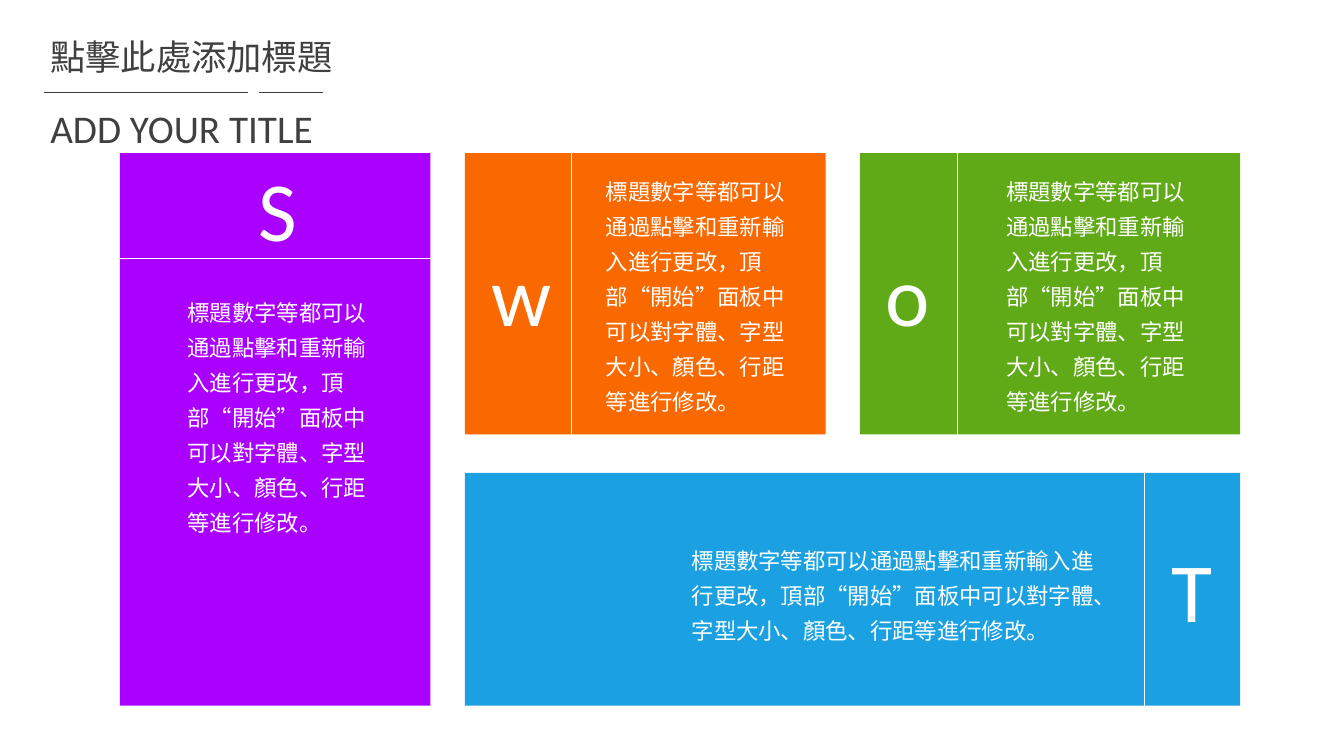
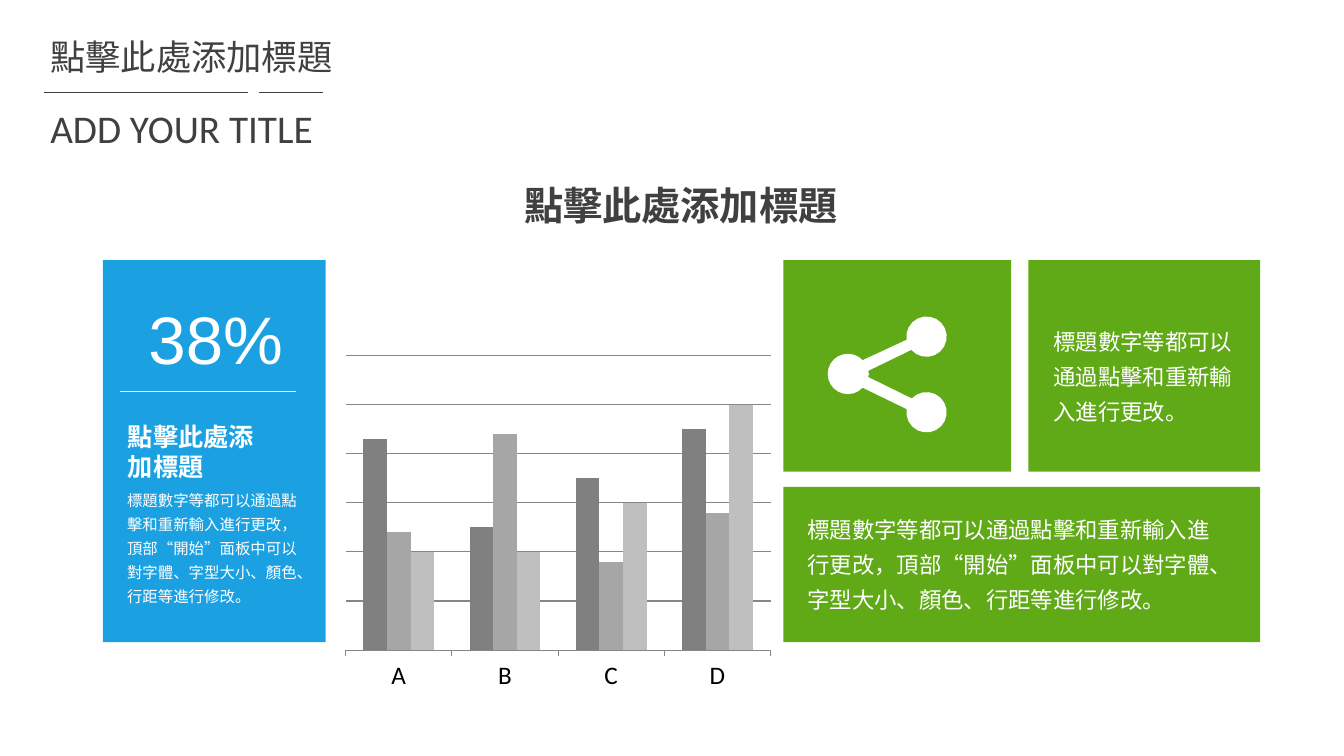
from math import cos, radians, sin

from pptx import Presentation
from pptx.chart.data import CategoryChartData
from pptx.dml.color import RGBColor
from pptx.enum.chart import XL_CHART_TYPE, XL_TICK_LABEL_POSITION, XL_TICK_MARK
from pptx.enum.shapes import MSO_CONNECTOR, MSO_SHAPE
from pptx.enum.text import PP_ALIGN
from pptx.oxml.ns import qn
from pptx.util import Emu, Pt
from lxml.etree import SubElement

SCALE = 9144
WHITE, DARK, GREY = "FFFFFF", "404040", "868686"
BLUE, GREEN, ORANGE, PURPLE = "1BA1E2", "60A917", "FA6800", "AA00FF"
CJK, LATIN = "Noto Sans CJK SC", "Calibri"
TITLE = "點擊此處添加標題"
BRIEF = "標題數字等都可以通過點擊和重新輸入進行更改"
BODY = BRIEF + "，頂部“開始”面板中可以對字體、字型大小、顏色、行距等進行修改。"


def px(*nums):
    return [Emu(round(n * SCALE)) for n in nums]


def color(code):
    return RGBColor.from_string(code)


def paint(shape, code):
    shape.shadow.inherit = False
    shape.fill.solid()
    shape.fill.fore_color.rgb = color(code)
    shape.line.fill.background()


def add_text(slide, box, text, size=16, font=CJK, code=WHITE, bold=False,
             align=PP_ALIGN.LEFT, lead=1.0, inset=(10, 5)):
    frame = slide.shapes.add_textbox(*px(*box)).text_frame
    frame.word_wrap = True
    side, edge = px(*inset)
    frame.margin_left = frame.margin_right = side
    frame.margin_top = frame.margin_bottom = edge
    para = frame.paragraphs[0]
    para.alignment, para.line_spacing = align, lead
    run = para.add_run()
    run.text = text
    run.font.size, run.font.bold, run.font.name = Pt(size), bold, font
    run.font.color.rgb = color(code)
    SubElement(run.font._element, qn("a:ea"), typeface=font)


def add_body(slide, box, text=BODY, size=16):
    add_text(slide, box, text, size=size, lead=1.3, inset=(7, 4))


def add_panel(slide, box, code):
    paint(slide.shapes.add_shape(MSO_SHAPE.RECTANGLE, *px(*box)), code)


def add_line(slide, ends, code=WHITE):
    line = slide.shapes.add_connector(MSO_CONNECTOR.STRAIGHT, *px(*ends))
    line.line.width = Pt(0.5)
    line.line.color.rgb = color(code)
    SubElement(line._element.spPr, qn("a:effectLst"))


def add_head(slide):
    for left, right in ((44, 246), (257, 320)):
        add_line(slide, (left, 92, right, 92), DARK)
    add_text(slide, (40, 35, 595, 52), TITLE, size=25.2, code=DARK, lead=0.9)
    add_text(slide, (40, 104, 298, 41), "ADD YOUR TITLE", size=28,
             font=LATIN, code=DARK, lead=0.9)


def arc(x, y, start, stop, steps=18, radius=20):
    turns = [radians(start + (stop - start) * i / steps)
             for i in range(steps + 1)]
    return [(x + radius * cos(t), y + radius * sin(t)) for t in turns]


def add_share(slide):
    dots = (arc(919, 334, 139, -189) + arc(841, 371, -43, -317)
            + arc(919, 409, 189, -137) + [(861, 374), (862, 371), (861, 368)])
    dots = [px(*dot) for dot in dots]
    pen = slide.shapes.build_freeform(*dots[0])
    pen.add_line_segments(dots[1:], close=True)
    paint(pen.convert_to_shape(), WHITE)


def add_bars(slide, box):
    data = CategoryChartData()
    data.categories = list("ABCD")
    rows = ((86, 50, 70, 90), (48, 88, 36, 56), (40, 40, 60, 100))
    for num, row in enumerate(rows, 1):
        data.add_series(f"Series {num}", row)
    chart = slide.shapes.add_chart(
        XL_CHART_TYPE.COLUMN_CLUSTERED, *px(*box), data).chart
    chart.has_legend = chart.has_title = False
    chart.font.size, chart.font.name = Pt(18), LATIN
    chart.font.color.rgb = color("000000")
    plot = chart.plots[0]
    plot.gap_width, plot.overlap, plot.vary_by_categories = 150, 0, False
    for series, code in zip(plot.series, ("808080", "A6A6A6", "BFBFBF")):
        series.format.fill.solid()
        series.format.fill.fore_color.rgb = color(code)
    base, scale = chart.category_axis, chart.value_axis
    base.major_tick_mark = XL_TICK_MARK.OUTSIDE
    base.tick_label_position = XL_TICK_LABEL_POSITION.NEXT_TO_AXIS
    scale.visible = False
    scale.minimum_scale, scale.maximum_scale, scale.major_unit = 0, 120, 20
    scale.has_major_gridlines = True
    for part in (base, scale.major_gridlines):
        part.format.line.color.rgb = color(GREY)
        part.format.line.width = Pt(0.75)


def add_swot(slide):
    cards = (
        ("S", PURPLE, (119, 152, 308, 548), (119, 256, 428, 256),
         (247, 151), (179, 285, 212, 252)),
        ("w", ORANGE, (461, 152, 358, 279), (567, 151, 567, 431),
         (478, 236), (594, 165, 212, 252)),
        ("o", GREEN, (853, 152, 377, 279), (950, 151, 950, 431),
         (868, 236), (991, 165, 212, 252)),
        ("T", BLUE, (461, 469, 769, 231), (1135, 444, 1135, 724),
         (1152, 529), (679, 531, 422, 112)),
    )
    for mark, code, panel, rule, spot, body in cards:
        add_panel(slide, panel, code)
        add_line(slide, rule)
        add_text(slide, (*spot, 78, 111), mark, size=60, font=LATIN)
        add_body(slide, body)


def add_stats(slide):
    add_text(slide, (510, 175, 345, 57), TITLE, size=28, code=DARK, bold=True)
    add_panel(slide, (102, 258, 221, 379), BLUE)
    add_text(slide, (125, 290, 178, 91), "38%", size=48, font="Arial",
             align=PP_ALIGN.CENTER)
    add_line(slide, (119, 388, 294, 388))
    add_text(slide, (117, 413, 151, 71), TITLE, size=18, bold=True)
    add_body(slide, (119, 478, 190, 128), size=11)
    add_bars(slide, (334, 346, 439, 346))
    for box in ((777, 258, 226, 210), (1020, 258, 230, 210),
                (777, 483, 473, 154)):
        add_panel(slide, box, GREEN)
    add_share(slide)
    add_body(slide, (1038, 314, 212, 112), BRIEF + "。")
    add_body(slide, (794, 500, 431, 112))


def main():
    deck = Presentation()
    deck.slide_width, deck.slide_height = px(1333, 750)
    for build in (add_swot, add_stats):
        slide = deck.slides.add_slide(deck.slide_layouts[6])
        add_head(slide)
        build(slide)
    deck.save("out.pptx")


if __name__ == "__main__":
    main()
